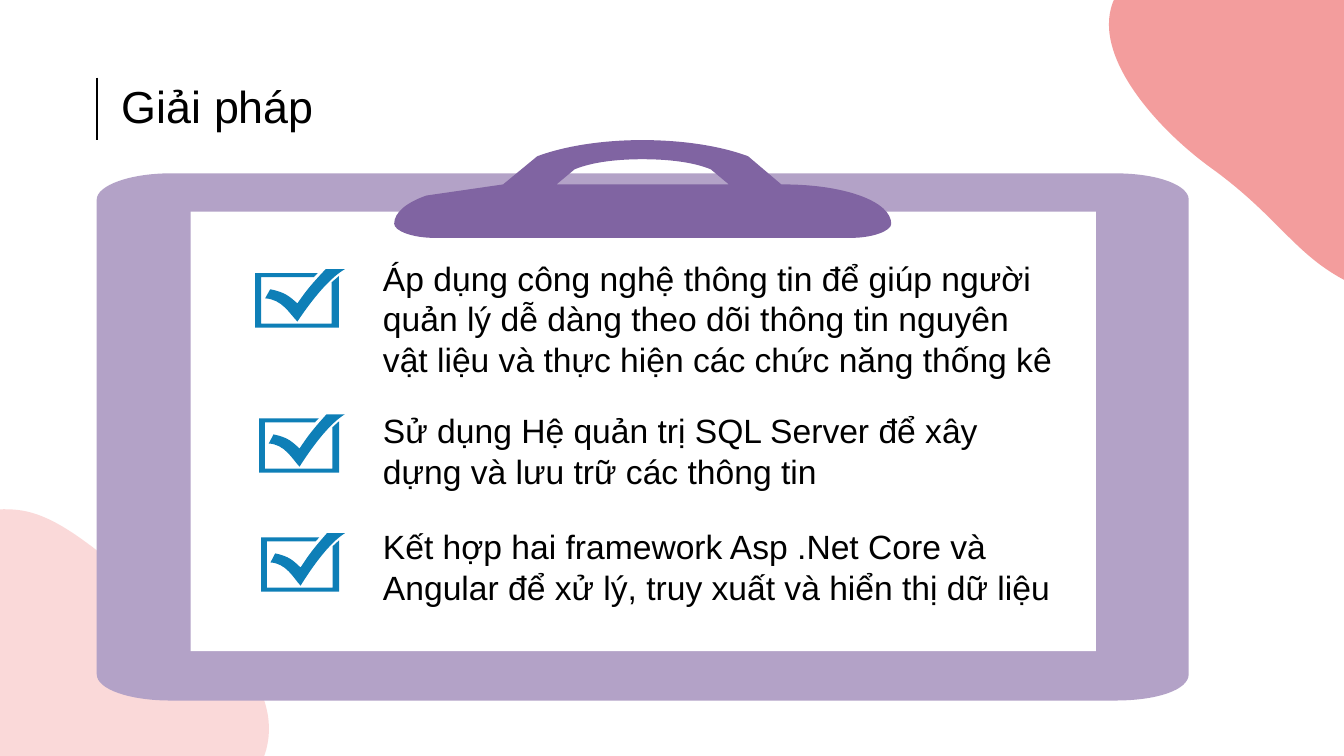
from pptx import Presentation
from pptx.dml.color import RGBColor
from pptx.enum.shapes import MSO_CONNECTOR, MSO_SHAPE
from pptx.enum.text import MSO_ANCHOR, MSO_AUTO_SIZE, PP_ALIGN
from pptx.oxml.ns import qn
from pptx.util import Inches, Pt
from lxml import etree

LEFT = PP_ALIGN.LEFT
MIDDLE = MSO_ANCHOR.MIDDLE
NO_FIT, GROW = MSO_AUTO_SIZE.NONE, MSO_AUTO_SIZE.SHAPE_TO_FIT_TEXT
LINE, RECT = MSO_CONNECTOR.STRAIGHT, MSO_SHAPE.RECTANGLE

FONT = "Arial"
BLACK = RGBColor(0x00, 0x00, 0x00)
WHITE = RGBColor(0xFF, 0xFF, 0xFF)
CORAL = RGBColor(0xE9, 0x44, 0x44)
LILAC = RGBColor(0xB3, 0xA2, 0xC7)
PURPLE = RGBColor(0x80, 0x64, 0xA2)
BLUE = RGBColor(0x0E, 0x7F, 0xB7)

# Outlines: each is a list of contours; a point pair is a line end,
# six numbers are a Bezier curve
PINK_BLOB = [[
    (-0.06, 7.69), (-0.24, 7.5, -0.41, 7.24, -0.55, 6.91),
    (-0.55, 6.91, -0.82, 6.27, -0.76, 5.78), (-0.71, 5.3, -0.35, 5, 0.18, 5.06),
    (0.7, 5.12, 1.17, 5.71, 1.76, 6.03), (1.98, 6.15, 2.18, 6.3, 2.33, 6.47),
    (2.59, 6.76, 2.73, 7.1, 2.64, 7.44), (2.49, 7.97, 2.06, 7.75, 1.61, 8.06),
    (1.26, 8.3, 0.55, 8.36, -0.06, 7.69)]]
CORAL_BLOB = [[
    (11.09, -0.08), (11.19, -0.24, 11.37, -0.37, 11.67, -0.47),
    (11.67, -0.47, 12.27, -0.64, 12.93, -0.49),
    (13.59, -0.35, 14.28, 0.11, 14.65, 0.67),
    (15.01, 1.23, 14.66, 1.64, 14.75, 2.23),
    (14.78, 2.45, 14.76, 2.64, 14.67, 2.77), (14.52, 3, 14.2, 3.09, 13.7, 2.93),
    (12.89, 2.67, 12.8, 2.24, 12.03, 1.68),
    (11.43, 1.25, 10.75, 0.46, 11.09, -0.08)]]
BOARD = [[
    (11.79, 6.69), (11.79, 6.84, 11.49, 6.95, 11.06, 6.95), (1.69, 6.95),
    (1.29, 6.95, 0.96, 6.84, 0.96, 6.69), (0.96, 1.98),
    (0.96, 1.84, 1.29, 1.72, 1.69, 1.72), (11.06, 1.72),
    (11.49, 1.72, 11.79, 1.84, 11.79, 1.98)]]
EDGE = [
    [(1.89, 2.1), (10.87, 2.1), (10.87, 6.46), (1.89, 6.46)],
    [(2.01, 2.14), (2.01, 6.42), (10.74, 6.42), (10.74, 2.14)]]
CLIP = [
    [(6.37, 1.58), (6.11, 1.58, 5.87, 1.61, 5.7, 1.68), (5.52, 1.83),
     (7.23, 1.83), (7.05, 1.68), (6.88, 1.61, 6.64, 1.58, 6.37, 1.58)],
    [(6.37, 1.39), (6.78, 1.39, 7.15, 1.45, 7.42, 1.55), (7.75, 1.83),
     (7.77, 1.83), (8.38, 1.83, 8.84, 2, 8.84, 2.22),
     (8.84, 2.29, 8.66, 2.36, 8.44, 2.36), (4.31, 2.36),
     (4.09, 2.36, 3.91, 2.29, 3.91, 2.22), (3.91, 2.11, 4.03, 2.01, 4.23, 1.94),
     (4.99, 1.83), (5.33, 1.55), (5.6, 1.45, 5.97, 1.39, 6.37, 1.39)]]
# Check mark, 0.89 wide, measured from its top left corner
CHECK = [
    [(0, 0.04), (0.62, 0.04), (0.58, 0.08), (0.06, 0.08), (0.06, 0.54),
     (0.76, 0.54), (0.76, 0.13), (0.83, 0.07), (0.83, 0.58), (0, 0.58)],
    [(0.89, 0), (0.72, 0.1, 0.54, 0.34, 0.42, 0.52),
     (0.34, 0.44, 0.27, 0.3, 0.1, 0.29), (0.15, 0.2),
     (0.3, 0.23, 0.34, 0.27, 0.42, 0.34), (0.51, 0.21, 0.55, 0.16, 0.7, 0),
     (0.76, 0, 0.8, 0, 0.89, 0)]]
CHECK_WIDTH, CHECK_RIGHT = 0.89, 3.42

# Text, its top and height, check mark top and width
ITEMS = [
    ("Áp dụng công nghệ thông tin để giúp người quản lý dễ dàng theo dõi "
     "thông tin nguyên vật liệu và thực hiện các chức năng thống kê",
     2.51, 1.31, 2.67, 0.89),
    ("Sử dụng Hệ quản trị SQL Server để xây dựng và lưu trữ các thông tin",
     4.02, 0.91, 4.11, 0.85),
    ("Kết hợp hai framework Asp .Net Core và Angular để xử lý, truy xuất "
     "và hiển thị dữ liệu", 5.17, 0.91, 5.29, 0.83),
]


def paint(shape, color, alpha=None):
    shape.shadow.inherit = False
    shape.fill.solid()
    shape.fill.fore_color.rgb = color
    shape.line.fill.background()
    if alpha:
        tint = shape.fill._xPr.find(qn("a:solidFill"))[0]
        etree.SubElement(tint, qn("a:alpha"), val=str(alpha * 1000))


def bend(shape, outline):
    """Join each three lines that stand for a curve into one Bezier."""
    lines = iter(list(shape._element.iter(qn("a:lnTo"))))
    for steps in outline:
        for step in steps[1:]:
            first = next(lines)
            if len(step) == 2:
                continue
            curve = etree.Element(qn("a:cubicBezTo"))
            first.addprevious(curve)
            for line in (first, next(lines), next(lines)):
                curve.append(line[0])
                line.getparent().remove(line)


def add_form(slide, outline, color, alpha=None, left=0, top=0, stretch=1):
    form = None
    for steps in outline:
        points = [(Inches(left + step[i] * stretch), Inches(top + step[i + 1]))
                  for step in steps for i in range(0, len(step), 2)]
        if form is None:
            form = slide.shapes.build_freeform(*points[0])
        else:
            form.move_to(*points[0])
        form.add_line_segments(points[1:], close=True)
    shape = form.convert_to_shape()
    bend(shape, outline)
    paint(shape, color, alpha)


def add_rule(slide, x, top, bottom):
    rule = slide.shapes.add_connector(
        LINE, Inches(x), Inches(top), Inches(x), Inches(bottom))
    rule.line.color.rgb = BLACK
    rule.line.width = Pt(1.5)
    etree.SubElement(rule._element.spPr, qn("a:effectLst"))


def write(frame, text, size=24, fit=GROW, spacing=None):
    frame.word_wrap, frame.auto_size = True, fit
    para = frame.paragraphs[0]
    para.alignment = LEFT
    para.line_spacing = spacing
    run = para.add_run()
    run.text = text
    run.font.name, run.font.size = FONT, Pt(size)
    run.font.color.rgb = BLACK


def set_title(slide, text):
    title = slide.shapes.title
    title.left, title.top = Inches(1.08), Inches(0.72)
    title.width, title.height = Inches(8.64), Inches(0.73)
    frame = title.text_frame
    frame.vertical_anchor = MIDDLE
    frame.margin_left = frame.margin_right = Inches(0.13)
    frame.margin_top = frame.margin_bottom = Inches(0.13)
    write(frame, text, size=32, fit=NO_FIT, spacing=0.9)


def add_item(slide, text, top, height):
    box = slide.shapes.add_textbox(
        Inches(3.7), Inches(top), Inches(6.92), Inches(height))
    write(box.text_frame, text)


def main():
    deck = Presentation()
    deck.slide_width, deck.slide_height = Inches(13.33), Inches(7.5)
    slide = deck.slides.add_slide(deck.slide_layouts[5])

    # Background blobs
    add_form(slide, PINK_BLOB, CORAL, alpha=20)
    add_form(slide, CORAL_BLOB, CORAL, alpha=52)

    # Title and its rule
    set_title(slide, "Giải pháp")
    add_rule(slide, 0.96, 0.77, 1.39)

    # Clipboard
    add_form(slide, BOARD, LILAC)
    sheet = slide.shapes.add_shape(
        RECT, Inches(1.94), Inches(2.12), Inches(8.87), Inches(4.32))
    paint(sheet, WHITE)
    add_form(slide, EDGE, WHITE)
    add_form(slide, CLIP, PURPLE)

    # Checklist
    for text, top, height, mark, width in ITEMS:
        add_form(slide, CHECK, BLUE, left=CHECK_RIGHT - width, top=mark,
                 stretch=width / CHECK_WIDTH)
        add_item(slide, text, top, height)

    deck.save("out.pptx")


if __name__ == "__main__":
    main()
